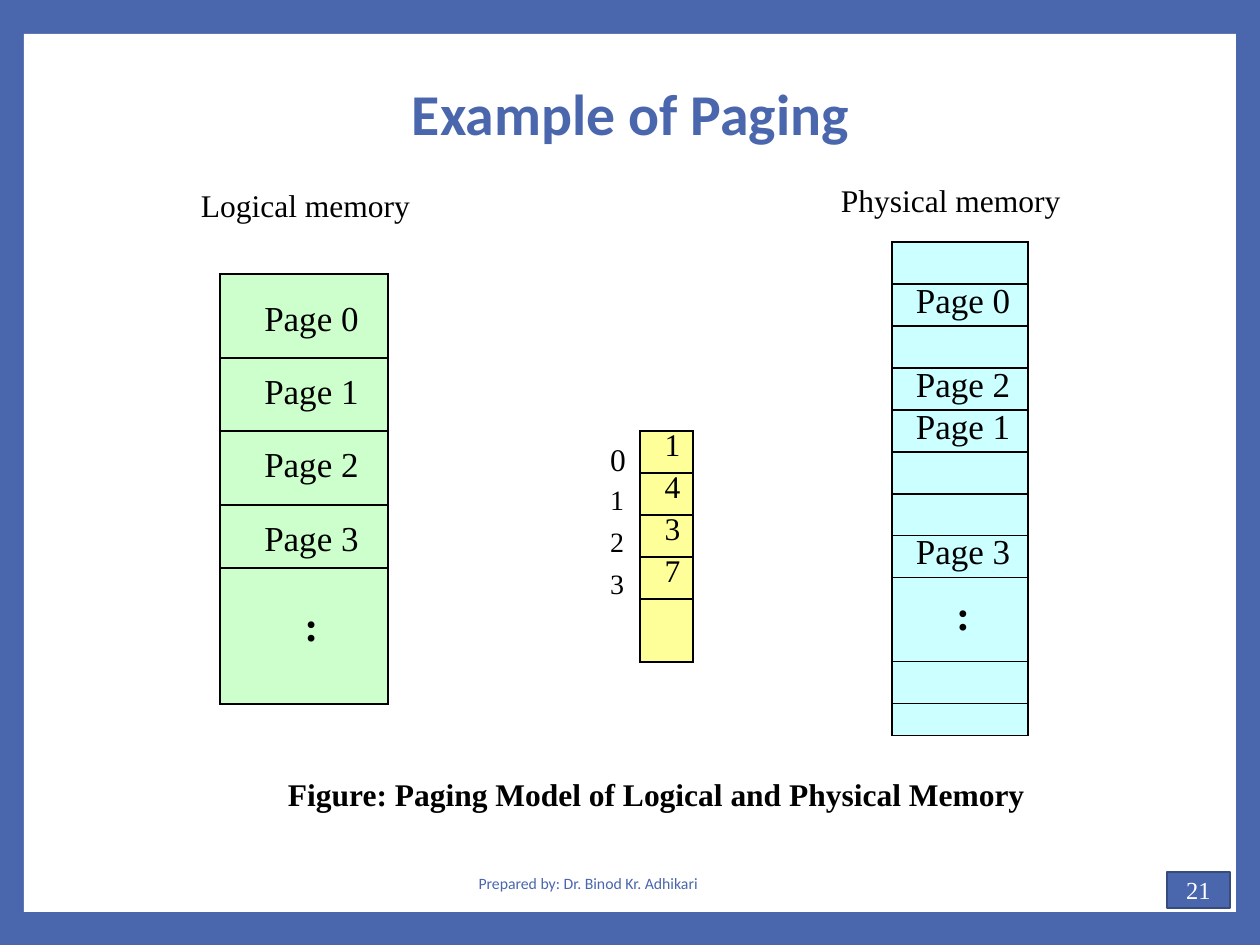
from lxml.etree import SubElement
from pptx import Presentation
from pptx.dml.color import RGBColor
from pptx.enum.shapes import MSO_SHAPE
from pptx.enum.text import MSO_ANCHOR, PP_ALIGN
from pptx.oxml.ns import qn
from pptx.util import Emu, Pt

BLUE, BLACK, WHITE = "4A66AC", "000000", "FFFFFF"
SERIF, SANS = "Times New Roman", "Calibri"
LEFT, MID = PP_ALIGN.LEFT, PP_ALIGN.CENTER

# Content: row height, text
LOGIC = [(84, "Page 0"), (73, "Page 1"), (74, "Page 2"), (63, "Page 3"),
         (136, ":")]
MAP = [(42, "1"), (42, "4"), (42, "3"), (42, "7"), (63, "")]
PHYS = [(42, ""), (42, "Page 0"), (42, ""), (42, "Page 2"), (42, "Page 1"),
        (42, ""), (42, ""), (42, "Page 3"), (84, ":"), (42, ""), (32, "")]

# rows, left, top, width, fill, left inset, top insets, size, line spacing
TABLES = [
    (LOGIC, 220, 274, 168, "CCFFCC", 15, [26, 15, 15, 15, 36], 20, None),
    (MAP, 640, 431, 53, "FFFF99", 12, [0] * 5, 18, 18.6),
    (PHYS, 892, 242, 136, "CCFFFF", 6, [0] * 8 + [15, 0, 0], 20, 21),
]

# text, box, size, bold, font, colour, alignment, top inset
LABELS = [
    ("Physical memory", (841, 179, 223, 42), 18, False, SERIF, BLACK, LEFT, 2),
    ("Logical memory", (201, 184, 212, 42), 18, False, SERIF, BLACK, LEFT, 2),
    ("Prepared by: Dr. Binod Kr. Adhikari", (344, 858, 488, 50), 9, False,
     SANS, BLUE, MID, 16),
    ("Figure: Paging Model of Logical and Physical Memory",
     (242, 769, 829, 50), 18, True, SERIF, BLACK, MID, 6),
]


def px(n):
    return Emu(round(n * 914400 / 126))


def rgb(code):
    return RGBColor.from_string(code)


def style(para, size, font=SERIF, color=BLACK, bold=False, align=MID):
    para.alignment = align
    for run in para.runs:
        run.font.size, run.font.name = Pt(size), font
        run.font.bold, run.font.color.rgb = bold, rgb(color)


def inset(frame, top=0):
    frame.margin_left = frame.margin_right = frame.margin_bottom = 0
    frame.margin_top = px(top)


def rect(box, fill, line=None):
    shape = slide.shapes.add_shape(MSO_SHAPE.RECTANGLE, *map(px, box))
    shape.shadow.inherit = False
    shape.fill.solid()
    shape.fill.fore_color.rgb = rgb(fill)
    if line:
        shape.line.color.rgb, shape.line.width = rgb(line), Pt(1.5)
    else:
        shape.line.fill.background()
    return shape


def textbox(text, box, top):
    frame = slide.shapes.add_textbox(*map(px, box)).text_frame
    frame.word_wrap = True
    inset(frame, top)
    frame.text = text
    return frame


def border(cell):
    props = cell._tc.get_or_add_tcPr()
    for i, side in enumerate(("lnL", "lnR", "lnT", "lnB")):
        line = props.makeelement(qn("a:" + side), {"w": "12700"})
        fill = SubElement(line, qn("a:solidFill"))
        SubElement(fill, qn("a:srgbClr"), val=BLACK)
        props.insert(i, line)


def column(rows, left, top, width, color, indent, tops, size, pitch):
    high = sum(h for h, _ in rows)
    table = slide.shapes.add_table(
        len(rows), 1, px(left), px(top), px(width), px(high)).table
    table.first_row = table.horz_banding = False
    for i, (height, text) in enumerate(rows):
        table.rows[i].height = px(height)
        cell = table.cell(i, 0)
        inset(cell, tops[i])
        cell.margin_left = px(indent)
        cell.fill.solid()
        cell.fill.fore_color.rgb = rgb(color)
        border(cell)
        para = cell.text_frame.paragraphs[0]
        if not text:  # keeps an empty row from growing
            SubElement(para._p, qn("a:endParaRPr"), sz="1000")
            continue
        para.text = text
        dots = text == ":"
        style(para, 24 if dots else size, bold=dots)
        if pitch and not dots:
            para.line_spacing = Pt(pitch)


deck = Presentation()
deck.slide_width, deck.slide_height = px(1260), px(945)
slide = deck.slides.add_slide(deck.slide_layouts[5])

# Background, page and slide number
slide.background.fill.solid()
slide.background.fill.fore_color.rgb = rgb(BLUE)
rect((24, 34, 1212, 878), WHITE)
badge = rect((1167, 872, 63, 36), BLUE, "374B7F").text_frame
badge.text = "21"
badge.vertical_anchor = MSO_ANCHOR.MIDDLE
style(badge.paragraphs[0], 14, color=WHITE)

# Title, brought in front of the page
title = slide.shapes.title
title.left, title.top, title.width, title.height = map(px, (344, 76, 573, 72))
title.text_frame.text = "Example of Paging"
title.text_frame.vertical_anchor = MSO_ANCHOR.MIDDLE
inset(title.text_frame, 1)
style(title.text_frame.paragraphs[0], 33, SANS, BLUE, True)
slide.shapes._spTree.append(title._element)

# Memory columns and page table
for spec_row in TABLES:
    column(*spec_row)

# Page table indexes
index = textbox("0\n1\n2\n3", (610, 431, 19, 169), 9)
for i, para in enumerate(index.paragraphs):
    style(para, 16 if i else 18, align=LEFT)
    if i:
        para.space_before = Pt(2.5 if i == 1 else 5)

# Labels, footer and caption
for text, box, size, bold, font, color, align, top in LABELS:
    style(textbox(text, box, top).paragraphs[0], size, font, color, bold, align)

deck.save("out.pptx")
